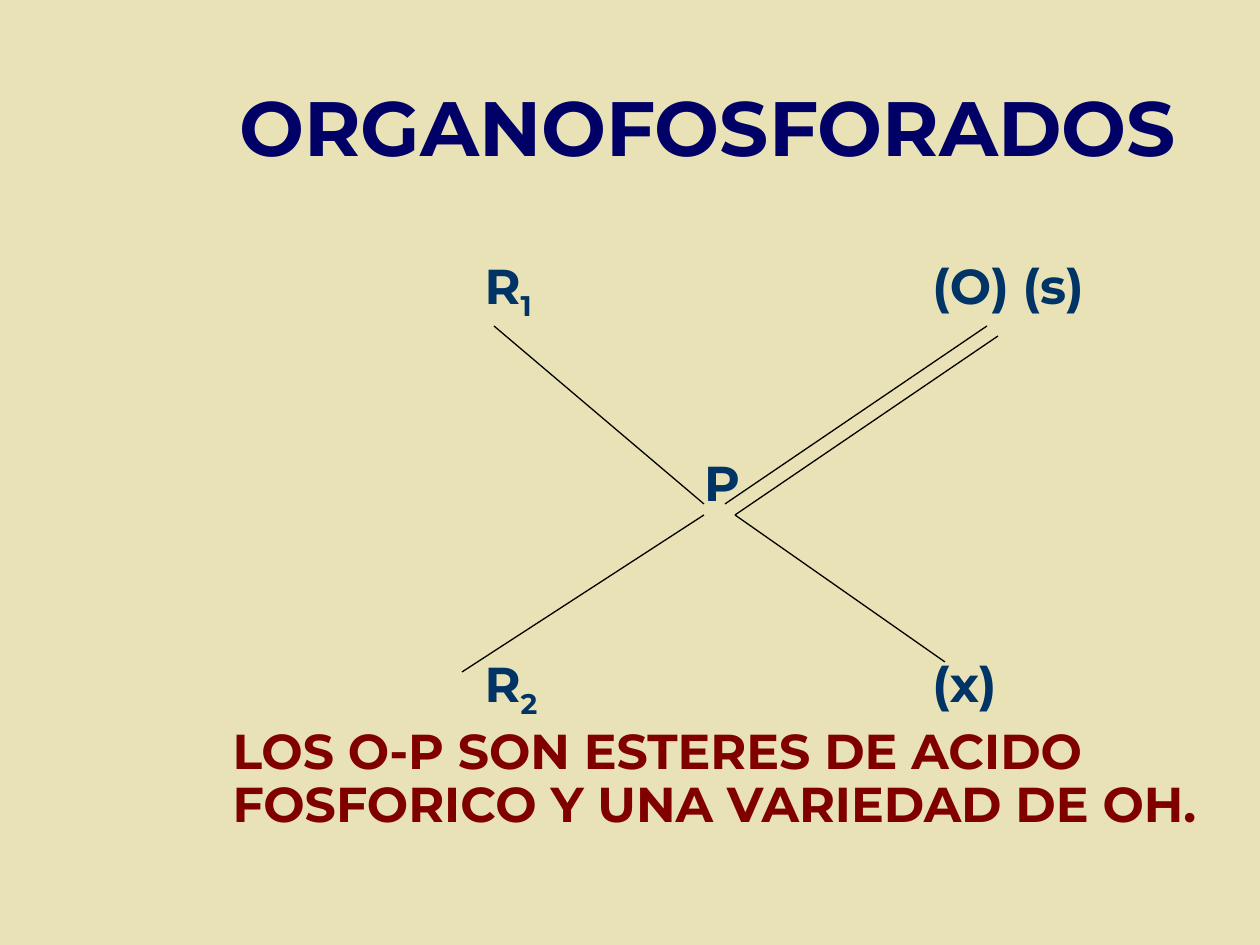
from dataclasses import dataclass

from lxml import etree
from pptx import Presentation
from pptx.dml.color import RGBColor
from pptx.enum.shapes import MSO_CONNECTOR
from pptx.enum.text import MSO_ANCHOR, MSO_AUTO_SIZE, PP_ALIGN
from pptx.oxml.ns import qn
from pptx.util import Emu, Pt

STRAIGHT = MSO_CONNECTOR.STRAIGHT
LEFT, CENTER = PP_ALIGN.LEFT, PP_ALIGN.CENTER
TOP, MIDDLE = MSO_ANCHOR.TOP, MSO_ANCHOR.MIDDLE
NO_AUTOFIT = MSO_AUTO_SIZE.NONE
EMU_PER_PX = 914400 // 126


@dataclass(frozen=True)
class Theme:
    background: str = "E9E2B6"
    title: str = "000066"
    atom: str = "003366"
    statement: str = "800000"
    bond: str = "000000"
    font: str = "Montserrat"
    title_size: int = 44
    body_size: int = 28
    bond_width: float = 0.75


@dataclass(frozen=True)
class Bond:
    x1: int
    y1: int
    x2: int
    y2: int


@dataclass(frozen=True)
class Line:
    runs: tuple
    color: str
    before: float = 0
    align: PP_ALIGN = LEFT
    margin: int = 0


THEME = Theme()
TAB_STEP = 504
SUBSTITUENT_MARGIN = 299
ROW_GAP = 81.5
LINES = (
    Line(("R", "_1", "\t(O) (s)"), THEME.atom, margin=SUBSTITUENT_MARGIN),
    Line(("P",), THEME.atom, before=ROW_GAP, align=CENTER, margin=27),
    Line(("R", "_2", "\t(x)"), THEME.atom, before=ROW_GAP, margin=SUBSTITUENT_MARGIN),
    Line(("LOS O-P SON ESTERES DE ACIDO FOSFORICO Y UNA VARIEDAD DE OH.",),
         THEME.statement, before=7, margin=47),
)
BONDS = (
    Bond(735, 515, 998, 336),
    Bond(704, 515, 462, 672),
    Bond(704, 504, 494, 326),
    Bond(725, 504, 987, 326),
    Bond(735, 515, 945, 662),
)


def px(n: int) -> Emu:
    return Emu(n * EMU_PER_PX)


def add_text(p, text: str, *, size: int, color: str, subscript: bool = False) -> None:
    r = p.add_run()
    r.text = text
    r.font.name = THEME.font
    r.font.size = Pt(size)
    r.font.bold = True
    r.font.color.rgb = RGBColor.from_string(color)
    if subscript:
        r.font._element.set("baseline", "-25000")


def place(sp, left: int, top: int, width: int, height: int, anchor: MSO_ANCHOR):
    sp.left, sp.top, sp.width, sp.height = map(px, (left, top, width, height))
    tf = sp.text_frame
    tf.word_wrap = True
    tf.auto_size = NO_AUTOFIT
    tf.vertical_anchor = anchor
    return tf


def add_line(p, line: Line) -> None:
    pPr = p._p.get_or_add_pPr()
    pPr.set("marL", str(px(line.margin)))
    pPr.set("indent", "0")
    pPr.set("defTabSz", str(px(TAB_STEP)))
    etree.SubElement(pPr, qn("a:buNone"))
    p.alignment = line.align
    p.line_spacing = 0.9
    p.space_before = Pt(line.before)
    for text in line.runs:
        add_text(p, text.removeprefix("_"), size=THEME.body_size,
                 color=line.color, subscript=text.startswith("_"))


def add_bond(s, bond: Bond) -> None:
    c = s.shapes.add_connector(STRAIGHT, px(bond.x1), px(bond.y1), px(bond.x2), px(bond.y2))
    c.line.color.rgb = RGBColor.from_string(THEME.bond)
    c.line.width = Pt(THEME.bond_width)
    etree.SubElement(c._element.spPr, qn("a:effectLst"))


def main() -> None:
    prs = Presentation()
    prs.slide_width, prs.slide_height = px(1260), px(945)
    s = prs.slides.add_slide(prs.slide_layouts[1])
    s.background.fill.solid()
    s.background.fill.fore_color.rgb = RGBColor.from_string(THEME.background)

    tf = place(s.shapes.title, 188, 73, 1040, 105, MIDDLE)
    p = tf.paragraphs[0]
    p.alignment = CENTER
    add_text(p, "ORGANOFOSFORADOS", size=THEME.title_size, color=THEME.title)

    tf = place(s.placeholders[1], 173, 179, 1071, 735, TOP)
    tf.margin_top = px(77)
    for i, line in enumerate(LINES):
        add_line(tf.add_paragraph() if i else tf.paragraphs[0], line)

    for bond in BONDS:
        add_bond(s, bond)
    prs.save("out.pptx")


if __name__ == "__main__":
    main()
